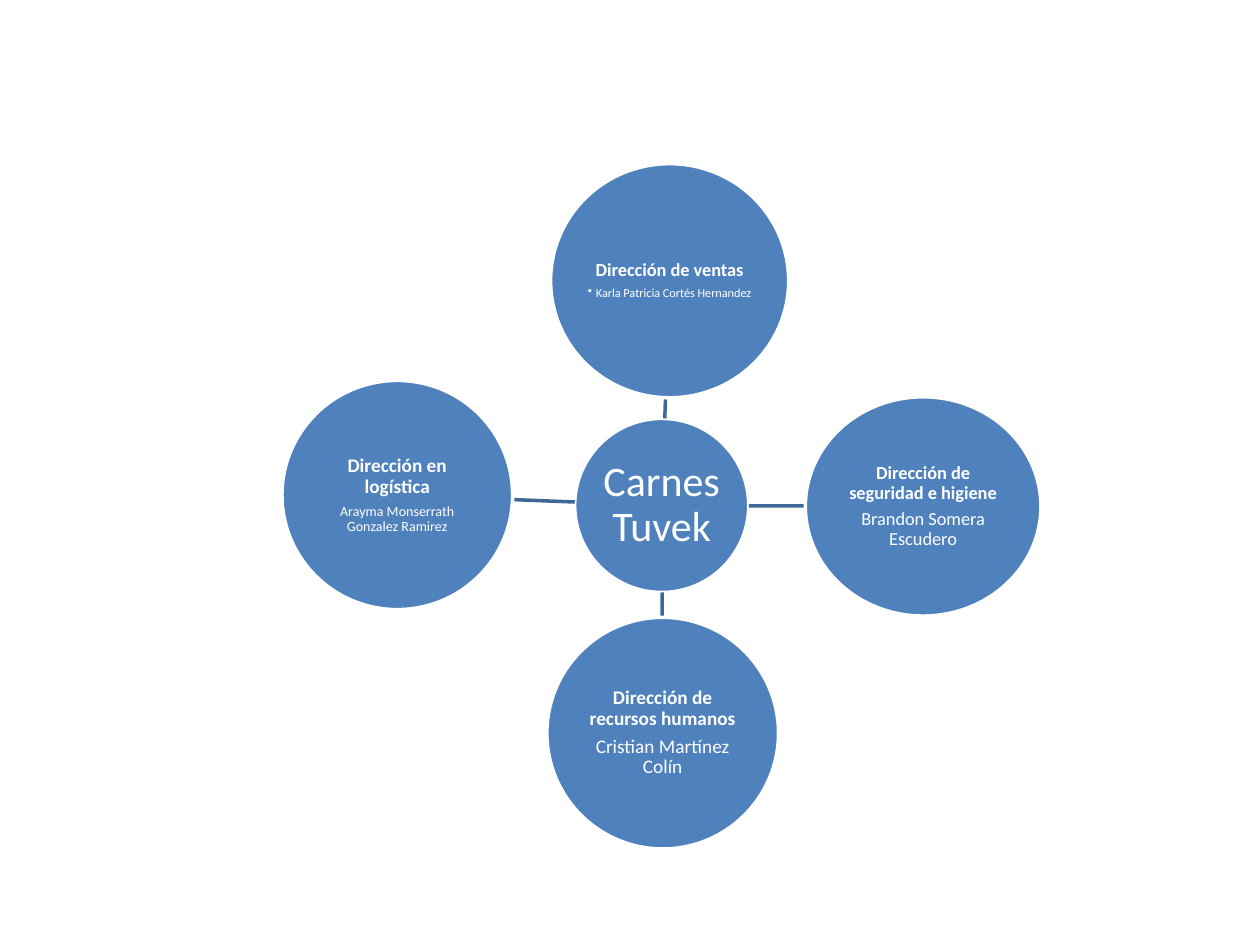
from dataclasses import dataclass
from math import hypot

from lxml import etree
from pptx import Presentation
from pptx.dml.color import RGBColor
from pptx.enum.shapes import MSO_CONNECTOR, MSO_SHAPE
from pptx.enum.text import MSO_ANCHOR, PP_ALIGN
from pptx.oxml.ns import qn
from pptx.util import Cm, Pt

OVAL, LINE = MSO_SHAPE.OVAL, MSO_CONNECTOR.STRAIGHT
MIDDLE, CENTER = MSO_ANCHOR.MIDDLE, PP_ALIGN.CENTER


@dataclass(frozen=True)
class Theme:
    font: str = "Calibri"
    fill: RGBColor = RGBColor(0x4F, 0x81, 0xBD)
    link: RGBColor = RGBColor(0x3F, 0x67, 0x97)
    white: RGBColor = RGBColor(0xFF, 0xFF, 0xFF)
    width: float = 2
    hub: float = 24
    big: float = 11
    mid: float = 10.5
    small: float = 8
    tiny: float = 7


@dataclass(frozen=True)
class Box:
    """Centre and size of a circle, in centimetres."""
    x: float
    y: float
    w: float
    h: float

    def edge(self, other):
        """Point on the rim that faces the centre of another box."""
        dx, dy = other.x - self.x, other.y - self.y
        k = 1 / hypot(dx / (self.w / 2), dy / (self.h / 2))
        return Cm(self.x + dx * k), Cm(self.y + dy * k)


@dataclass(frozen=True)
class Part:
    text: str
    size: float
    bold: bool = False
    dot: bool = False


THEME = Theme()
HUB = Box(13.34, 10.19, 3.51, 3.51)
NAME = Part("Carnes Tuvek", THEME.hub)

# Departments around the hub: box, title, person
UNITS = [
    (Box(13.5, 5.66, 4.8, 4.72),
     Part("Dirección de ventas", THEME.mid, bold=True),
     Part("Karla Patricia Cortés Hernandez", THEME.tiny, dot=True)),
    (Box(18.61, 10.21, 4.75, 4.42),
     Part("Dirección de seguridad e higiene", THEME.mid, bold=True),
     Part("Brandon Somera Escudero", THEME.mid)),
    (Box(13.36, 14.78, 4.67, 4.67),
     Part("Dirección de recursos humanos", THEME.big, bold=True),
     Part("Cristian Martínez Colín", THEME.big)),
    (Box(8.01, 9.98, 4.65, 4.62),
     Part("Dirección en logística", THEME.big, bold=True),
     Part("Arayma Monserrath Gonzalez Ramirez", THEME.small)),
]


def add_dot(para):
    """Give a paragraph a round bullet with a hanging indent."""
    para.level = 1
    props = para._p.get_or_add_pPr()
    props.set("marL", str(Cm(0.16)))
    props.set("indent", str(-Cm(0.16)))
    etree.SubElement(props, qn("a:buChar"), char="•")


def add_text(para, part):
    para.alignment = CENTER
    para.line_spacing = 0.9
    para.space_after = Pt(part.size * (0.15 if part.dot else 0.35))
    if part.dot:
        add_dot(para)
    run = para.add_run()
    run.text = part.text
    font = run.font
    font.name, font.size, font.bold = THEME.font, Pt(part.size), part.bold
    font.color.rgb = THEME.white


def add_disc(slide, box, parts, inset):
    disc = slide.shapes.add_shape(
        OVAL, Cm(box.x - box.w / 2), Cm(box.y - box.h / 2),
        Cm(box.w), Cm(box.h))
    disc.shadow.inherit = False
    disc.fill.solid()
    disc.fill.fore_color.rgb = THEME.fill
    disc.line.color.rgb = THEME.white
    disc.line.width = Pt(THEME.width)
    frame = disc.text_frame
    frame.word_wrap = True
    frame.vertical_anchor = MIDDLE
    frame.margin_left = frame.margin_right = Cm(inset)
    frame.margin_top = frame.margin_bottom = Cm(inset)
    for i, part in enumerate(parts):
        para = frame.add_paragraph() if i else frame.paragraphs[0]
        add_text(para, part)


def add_link(slide, start, end):
    link = slide.shapes.add_connector(
        LINE, *start.edge(end), *end.edge(start))
    link.line.color.rgb = THEME.link
    link.line.width = Pt(THEME.width)
    etree.SubElement(link._element.spPr, qn("a:effectLst"))


def add_chart(slide, hub, units):
    """Hub in the middle, each unit tied to it by a line."""
    add_disc(slide, hub, [NAME], 0.05)
    for box, *parts in units:
        add_link(slide, hub, box)
        add_disc(slide, box, parts, 0.03)


deck = Presentation()
deck.slide_width, deck.slide_height = Cm(25.4), Cm(19.05)
page = deck.slides.add_slide(deck.slide_layouts[6])
add_chart(page, HUB, UNITS)
deck.save("out.pptx")
